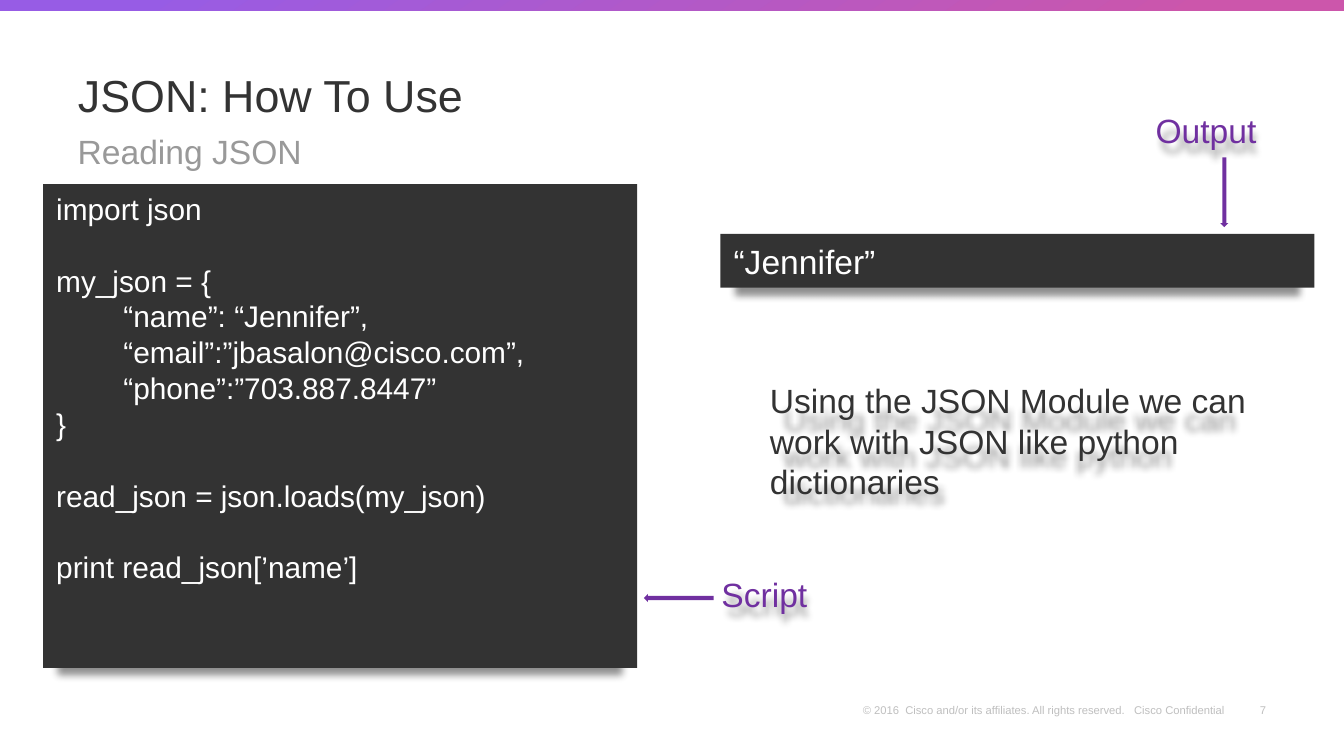
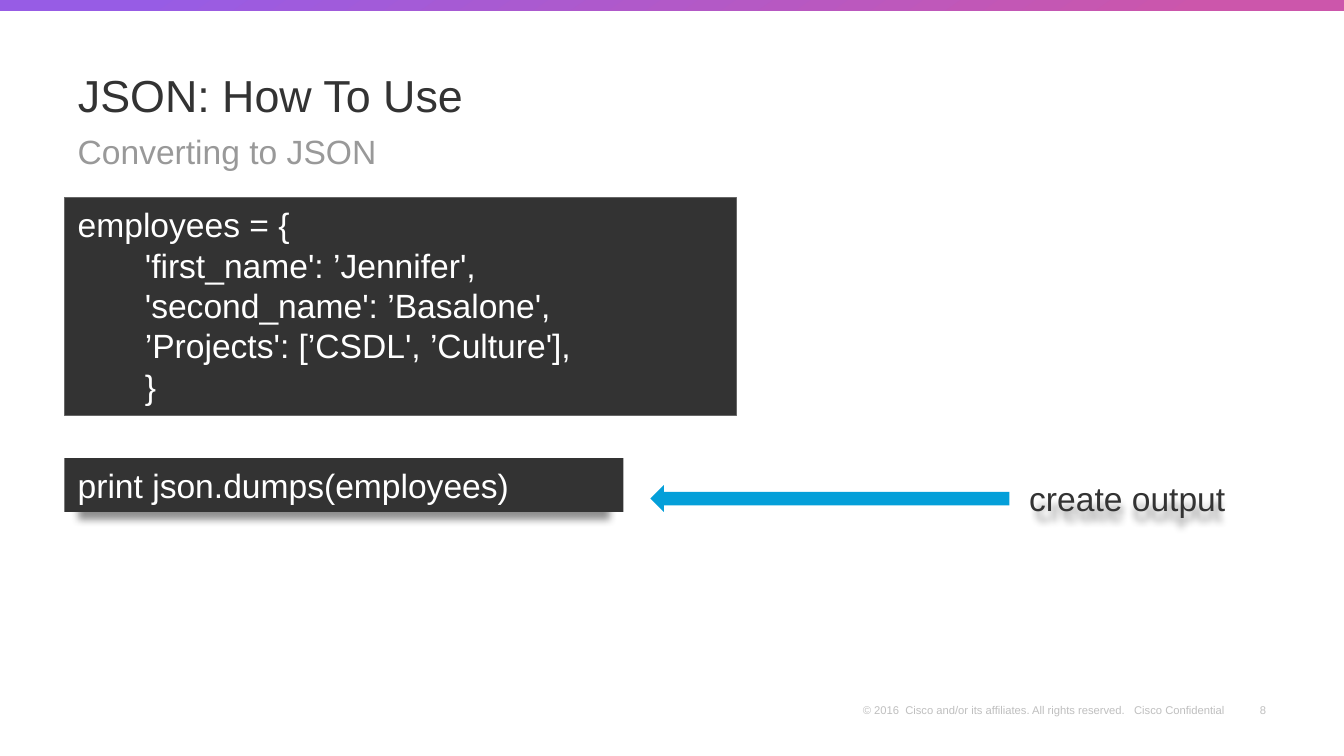
from dataclasses import dataclass

from lxml import etree
from pptx import Presentation
from pptx.dml.color import RGBColor
from pptx.enum.shapes import MSO_SHAPE
from pptx.enum.text import MSO_ANCHOR, PP_ALIGN
from pptx.oxml.ns import qn
from pptx.shapes.autoshape import Shape
from pptx.slide import Slide
from pptx.text.text import TextFrame
from pptx.util import Inches, Pt

RECT, ARROW = MSO_SHAPE.RECTANGLE, MSO_SHAPE.LEFT_ARROW
TOP, BOTTOM = MSO_ANCHOR.TOP, MSO_ANCHOR.BOTTOM
LEFT, RIGHT = PP_ALIGN.LEFT, PP_ALIGN.RIGHT
TITLE_ONLY = 5

FONT = "Arial"
COLORS = {
    "dark": "333333",
    "gray": "999999",
    "edge": "666666",
    "pale": "BFBFBF",
    "white": "FFFFFF",
    "black": "000000",
    "purple": "7030A0",
    "blue": "049FD9",
    "violet": "975CE5",
    "pink": "CC56AB",
}
NOTICE = ("© 2016  Cisco and/or its affiliates. All rights reserved.   "
          "Cisco Confidential")
LINE = 1.2  # line height as a share of the font size


@dataclass
class Box:
    left: float
    top: float
    width: float
    height: float


@dataclass
class Code:
    box: Box
    text: str
    size: int = 18
    shadow: bool = True
    edge: bool = False


@dataclass
class Label:
    box: Box
    text: str
    color: str = "dark"


@dataclass
class Arrow:
    box: Box
    color: str
    turn: int = 0


@dataclass
class Page:
    number: int
    topic: str
    items: list[Code | Label | Arrow]


READ = """import json

my_json = {
\t“name”: “Jennifer”,
\t“email”:”jbasalon@cisco.com”,
\t“phone”:”703.887.8447”
}

read_json = json.loads(my_json)

print read_json[’name’]"""

STAFF = """employees = {
\t'first_name': ’Jennifer',
\t'second_name': ’Basalone',
\t’Projects': [’CSDL', ’Culture'],
\t}"""

PAGES = [
    Page(7, "Reading JSON", [
        Code(Box(0.32, 1.37, 4.42, 3.6), READ, size=16),
        Code(Box(5.36, 1.74, 4.42, 0.4), "“Jennifer”"),
        Label(Box(5.27, 4.22, 1.76, 0.4), "Script", "purple"),
        Label(Box(8.5, 0.77, 1.76, 0.4), "Output", "purple"),
        Label(Box(5.63, 2.78, 4.15, 1.01),
              "Using the JSON Module we can work with JSON like python "
              "dictionaries"),
        Arrow(Box(4.79, 4.42, 0.52, 0.06), "purple"),
        Arrow(Box(8.85, 1.4, 0.52, 0.06), "purple", 270),
    ]),
    Page(8, "Converting to JSON", [
        Code(Box(0.48, 1.47, 5, 1.62), STAFF, shadow=False, edge=True),
        Code(Box(0.48, 3.41, 4.16, 0.4), "print json.dumps(employees)"),
        Arrow(Box(4.84, 3.61, 2.67, 0.2), "blue"),
        Label(Box(7.56, 3.51, 1.96, 0.4), "create output"),
    ]),
]


def rgb(name: str) -> RGBColor:
    return RGBColor.from_string(COLORS[name])


def place(box: Box) -> tuple[Inches, ...]:
    return tuple(Inches(n) for n in (box.left, box.top, box.width, box.height))


def add_tab(para) -> None:
    """Put a tab stop half an inch in."""
    stops = etree.SubElement(para._p.get_or_add_pPr(), qn("a:tabLst"))
    etree.SubElement(stops, qn("a:tab"), pos=str(Inches(0.5)), algn="l")


def write(frame: TextFrame, text: str, size: int, color: str,
          anchor=TOP, align=LEFT, pitch: float = 1.0) -> None:
    """Fill a frame; an empty line becomes space before the next one."""
    frame.word_wrap = True
    frame.vertical_anchor = anchor
    para, gap = frame.paragraphs[0], 0
    for index, line in enumerate(text.split("\n")):
        if not line:
            gap += size * LINE
            continue
        if index:
            para = frame.add_paragraph()
        para.text = line
        para.alignment = align
        para.line_spacing = pitch
        para.space_before = Pt(gap)
        if line.startswith("\t"):
            add_tab(para)
        font = para.font
        font.name, font.size, font.color.rgb = FONT, Pt(size), rgb(color)
        gap = 0


def add_text(slide: Slide, box: Box, text: str, size: int, color: str,
             **style) -> Shape:
    shape = slide.shapes.add_textbox(*place(box))
    write(shape.text_frame, text, size, color, **style)
    return shape


def add_shape(slide: Slide, kind: MSO_SHAPE, box: Box, color: str) -> Shape:
    shape = slide.shapes.add_shape(kind, *place(box))
    shape.shadow.inherit = False
    shape.fill.solid()
    shape.fill.fore_color.rgb = rgb(color)
    shape.line.fill.background()
    return shape


def cast(shape: Shape) -> None:
    """Give a shape a soft shadow below it."""
    shape.shadow.inherit = False
    effects = shape._element.spPr.find(qn("a:effectLst"))
    shade = etree.SubElement(
        effects, qn("a:outerShdw"), blurRad=str(Pt(4)), dist=str(Pt(4)),
        dir="5400000", sx="95000", sy="90000", rotWithShape="0")
    tint = etree.SubElement(shade, qn("a:srgbClr"), val=COLORS["black"])
    etree.SubElement(tint, qn("a:alpha"), val="43000")


def add_item(slide: Slide, item: Code | Label | Arrow) -> None:
    if isinstance(item, Code):
        shape = add_shape(slide, RECT, item.box, "dark")
        write(shape.text_frame, item.text, item.size, "white")
        if item.edge:
            shape.line.color.rgb = rgb("edge")
            shape.line.width = Pt(0.75)
        if item.shadow:
            cast(shape)
    elif isinstance(item, Label):
        cast(add_text(slide, item.box, item.text, 18, item.color))
    else:
        add_shape(slide, ARROW, item.box, item.color).rotation = item.turn


def add_frame(slide: Slide, page: Page) -> None:
    """Draw the band, footer, title and topic that every slide has."""
    band = add_shape(slide, RECT, Box(0, 0, 10, 0.08), "violet")
    band.fill.gradient()
    band.fill.gradient_angle = 305
    ends = ((0.1, "violet"), (0.9, "pink"))
    for stop, (spot, color) in zip(band.fill.gradient_stops, ends):
        stop.position, stop.color.rgb = spot, rgb(color)

    feet = (
        (Box(9.25, 5.19, 0.24, 0.17), str(page.number), RIGHT),
        (Box(6.35, 5.19, 2.91, 0.17), NOTICE, LEFT),
    )
    for box, text, align in feet:
        foot = add_text(slide, box, text, 6, "pale",
                        anchor=BOTTOM, align=align).text_frame
        foot.margin_left = foot.margin_right = Inches(0.07)
        foot.margin_top = foot.margin_bottom = Inches(0.03)

    title = slide.shapes.title
    title.left, title.top, title.width, title.height = place(
        Box(0.48, 0.53, 9.04, 0.42))
    write(title.text_frame, "JSON: How To Use", 24, "dark",
          anchor=BOTTOM, pitch=0.8)
    add_text(slide, Box(0.48, 0.95, 9.04, 0.52), page.topic, 18, "gray",
             pitch=0.95)


def main() -> None:
    deck = Presentation()
    deck.slide_width = Inches(10)
    deck.slide_height = deck.slide_width * 9 // 16
    for page in PAGES:
        slide = deck.slides.add_slide(deck.slide_layouts[TITLE_ONLY])
        add_frame(slide, page)
        for item in page.items:
            add_item(slide, item)
    deck.save("out.pptx")


if __name__ == "__main__":
    main()
